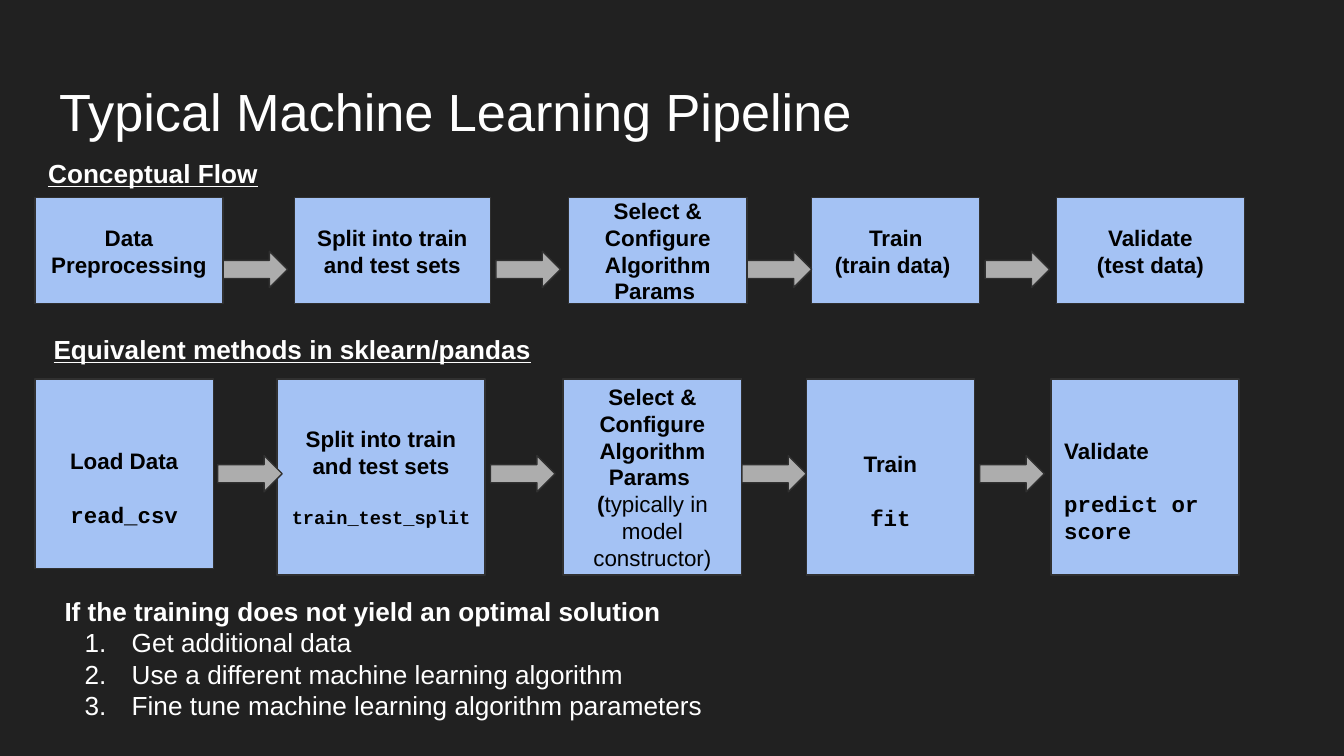
"""Build the machine learning pipeline slide."""
from dataclasses import dataclass, field
from lxml import etree
from pptx import Presentation
from pptx import util as u
from pptx.dml import color
from pptx.enum import shapes, text
from pptx.oxml import ns

HUES = {"back": "212121", "box": "A4C2F4", "edge": "303030",
        "arrow": "ADADAD", "dark": "000000", "light": "FFFFFF"}
BOLD = {"name": "Arial", "size": u.Pt(12), "bold": True}
CODE = BOLD | {"name": "Courier New"}
SMALL = CODE | {"size": u.Pt(10)}
PLAIN = BOLD | {"bold": False}
HEAD = BOLD | {"size": u.Pt(14), "underline": True}
LEAD = HEAD | {"underline": False}
ITEM = LEAD | {"bold": False}
TITLE = ITEM | {"size": u.Pt(28)}
MID, LEFT = text.PP_ALIGN.CENTER, text.PP_ALIGN.LEFT


@dataclass
class Line:
    """A paragraph made of (words, format) runs."""
    runs: list
    gap: float = 0
    num: bool = False


@dataclass
class Box:
    """A step of a flow."""
    x: float
    wide: float
    lines: list = field(default_factory=list)
    high: float = 1.46
    drop: float = 0
    align: text.PP_ALIGN = MID


def rgb(key: str) -> color.RGBColor:
    """Look up a colour."""
    return color.RGBColor.from_string(HUES[key])


def bold(*words: str) -> list:
    """Make bold lines."""
    return [Line([(word, BOLD)]) for word in words]


def mark(para, num: bool) -> None:
    """Number a paragraph, or clear its bullet and indent."""
    props = para._p.get_or_add_pPr()
    props.set("marL", str(u.Inches(0.5 if num else 0)))
    props.set("indent", str(u.Inches(-0.35 if num else 0)))
    if num:
        tint = etree.SubElement(props, ns.qn("a:buClr"))
        etree.SubElement(tint, ns.qn("a:srgbClr"), val=HUES["light"])
        etree.SubElement(props, ns.qn("a:buFont"), typeface="Arial")
        etree.SubElement(props, ns.qn("a:buAutoNum"), type="arabicPeriod")
    else:
        etree.SubElement(props, ns.qn("a:buNone"))


def write(shape, lines: list, hue: str, align=LEFT,
          anchor=text.MSO_ANCHOR.TOP, drop: float = 0) -> None:
    """Fill a shape with lines of text."""
    frame = shape.text_frame
    pad = u.Inches(0.1)
    form = {"word_wrap": True, "auto_size": text.MSO_AUTO_SIZE.NONE,
            "vertical_anchor": anchor, "margin_left": pad, "margin_right": pad,
            "margin_top": pad + u.Inches(drop), "margin_bottom": pad}
    for key, val in form.items():
        setattr(frame, key, val)
    for i, line in enumerate(lines):
        para = frame.add_paragraph() if i else frame.paragraphs[0]
        look = {"alignment": align, "line_spacing": 1.0,
                "space_before": u.Pt(line.gap), "space_after": u.Pt(0)}
        for key, val in look.items():
            setattr(para, key, val)
        mark(para, line.num)
        for words, style in line.runs:
            run = para.add_run()
            run.text = words
            for key, val in style.items():
                setattr(run.font, key, val)
            run.font.color.rgb = rgb(hue)


def place(shape, *spot: float) -> None:
    """Move and size a shape."""
    for key, val in zip(("left", "top", "width", "height"), spot):
        setattr(shape, key, u.Inches(val))


def draw(slide, kind, hue: str, *spot: float):
    """Add a flat shape with a thin edge."""
    shape = slide.shapes.add_shape(kind, *map(u.Inches, spot))
    shape.shadow.inherit = False
    shape.fill.solid()
    shape.fill.fore_color.rgb = rgb(hue)
    shape.line.color.rgb = rgb("edge")
    shape.line.width = u.Pt(0.75)
    return shape


def flow(slide, boxes: list, top: float, mid: float, shift: float) -> None:
    """Draw a row of boxes and the arrows between them."""
    for box in boxes:
        shape = draw(slide, shapes.MSO_SHAPE.RECTANGLE, "box",
                     box.x, top, box.wide, box.high)
        write(shape, box.lines, "dark", box.align,
              text.MSO_ANCHOR.MIDDLE, box.drop)
    for x in (1.66, 3.69, 5.56, 7.33):
        draw(slide, shapes.MSO_SHAPE.RIGHT_ARROW, "arrow",
             x - shift, mid, 0.48, 0.27)


def label(slide, words: str, *spot: float) -> None:
    """Add an underlined heading."""
    shape = slide.shapes.add_textbox(*map(u.Inches, spot))
    write(shape, [Line([(words, HEAD)])], "light")


def main() -> None:
    """Build and save the slide."""
    deck = Presentation()
    deck.slide_width = u.Inches(10)
    deck.slide_height = deck.slide_width * 9 // 16
    slide = deck.slides.add_slide(deck.slide_layouts[1])
    slide.background.fill.solid()
    slide.background.fill.fore_color.rgb = rgb("back")

    title, body = slide.placeholders
    place(title, 0.34, 0.49, 9.32, 0.63)
    write(title, [Line([("Typical Machine Learning Pipeline", TITLE)])], "light")
    place(body, 0.38, 4.33, 9.32, 0.79)
    steps = ("Get additional data", "Use a different machine learning algorithm",
             "Fine tune machine learning algorithm parameters")
    lead = Line([("If the training does not yield an optimal solution", LEAD)])
    write(body, [lead] + [Line([(step, ITEM)], num=True) for step in steps],
          "light")

    split = "Split into train and test sets"
    pick = "Select & Configure Algorithm Params "
    tall = 0.79
    label(slide, "Conceptual Flow", 0.26, 1.07, 3.12, 0.27)
    flow(slide, [
        Box(0.26, 1.4, bold("Data Preprocessing"), tall),
        Box(2.19, 1.46, bold(split), tall),
        Box(4.23, 1.33, bold(pick), tall),
        Box(6.04, 1.25, bold("Train", "(train data) "), tall),
        Box(7.86, 1.4, bold("Validate", "(test data)"), tall),
    ], 1.47, 1.87, 0)

    label(slide, "Equivalent methods in sklearn/pandas", 0.3, 2.38, 4.42, 0.27)
    gap = 14.4
    flow(slide, [
        Box(0.26, 1.33, bold("Load Data") + [Line([("read_csv", CODE)], gap)],
            1.41, 0.2),
        Box(2.06, 1.55,
            bold(split) + [Line([("train_test_split", SMALL)], gap)]),
        Box(4.19, 1.33, bold(pick) + [
            Line([("(", BOLD), ("typically in model constructor)", PLAIN)])]),
        Box(6, 1.25, bold("Train") + [Line([("fit", CODE)], gap)], drop=0.2),
        Box(7.82, 1.4,
            bold("Validate") + [Line([("predict or score", CODE)], gap)],
            drop=0.2, align=LEFT),
    ], 2.82, 3.39, 0.04)
    deck.save("out.pptx")


if __name__ == "__main__":
    main()
